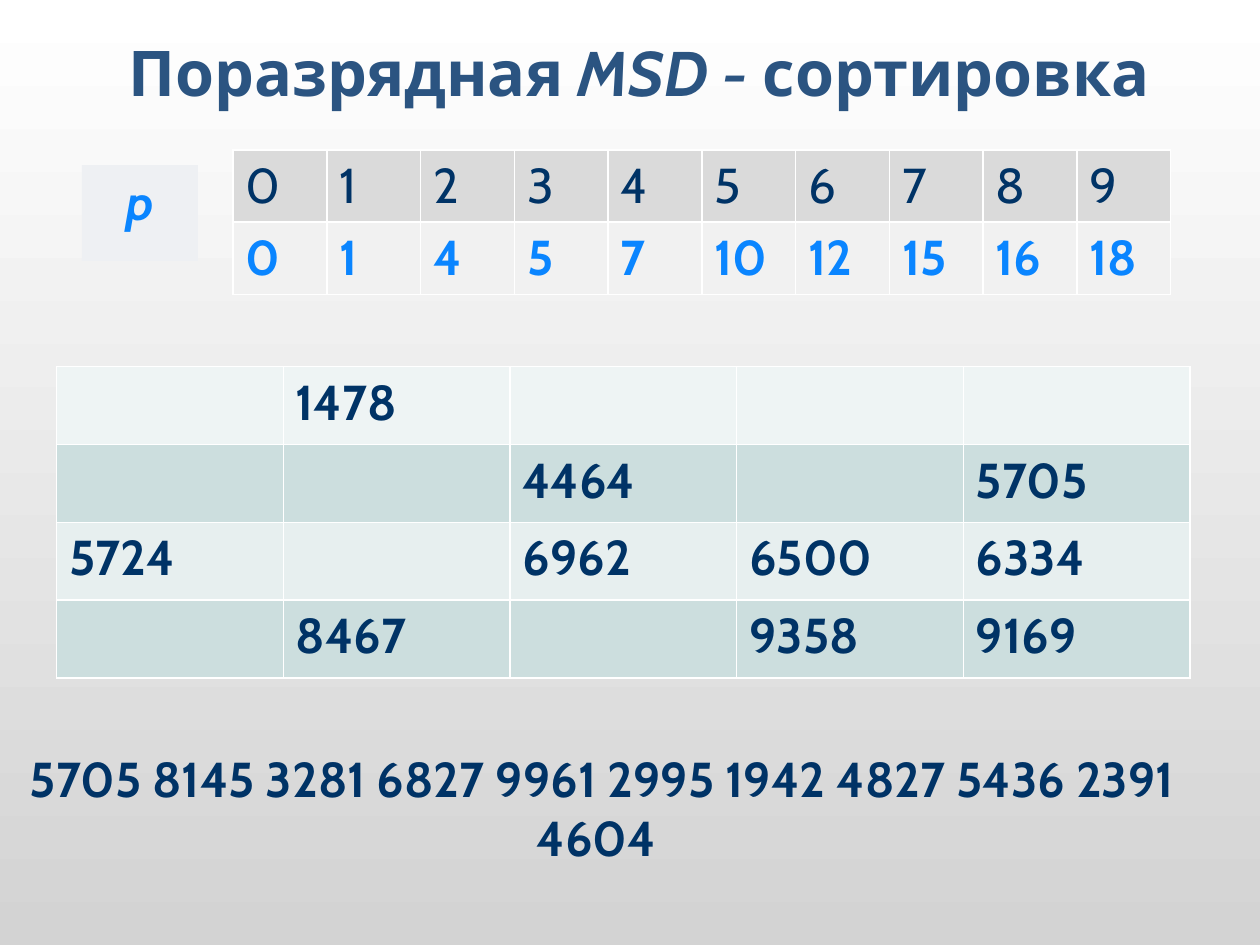
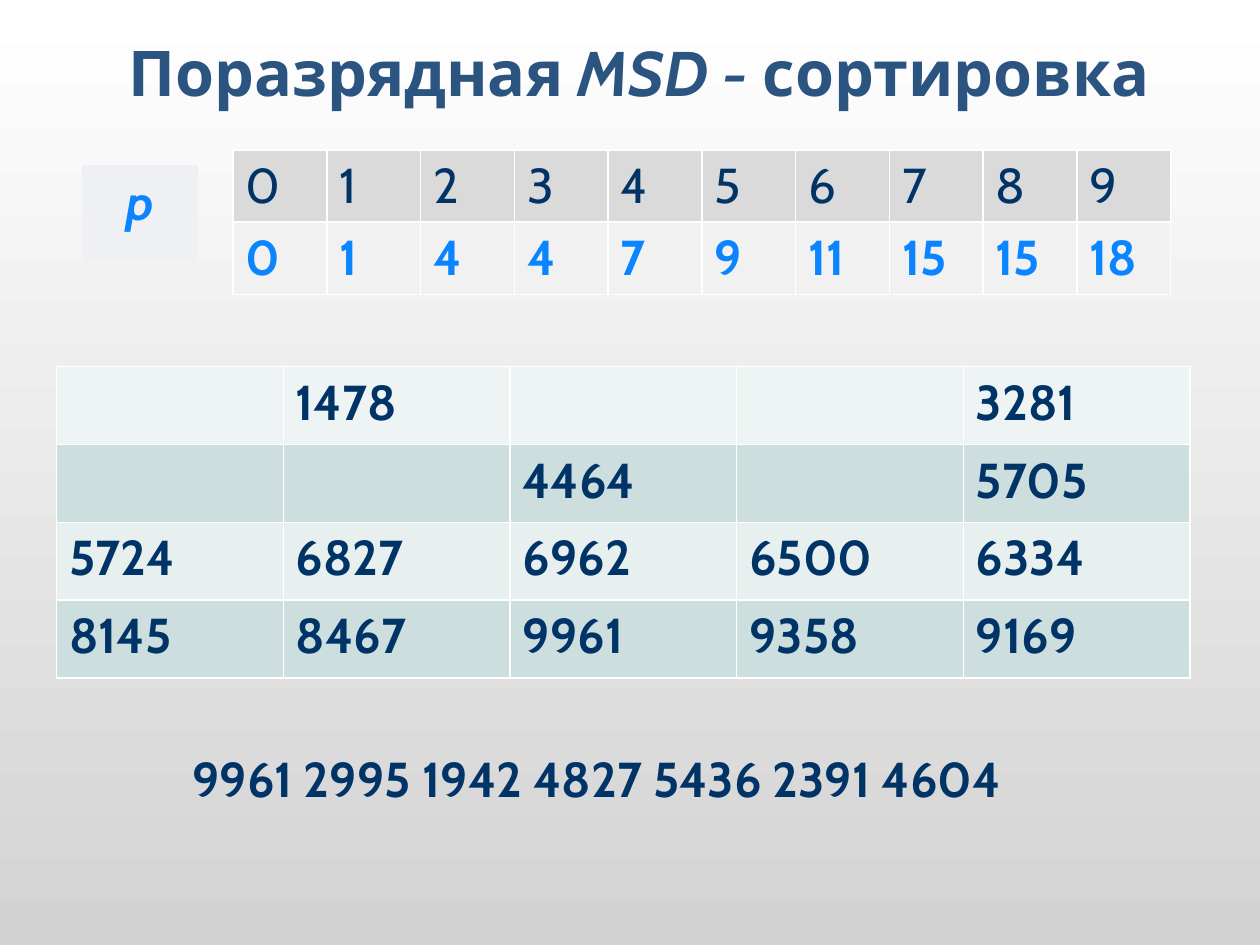
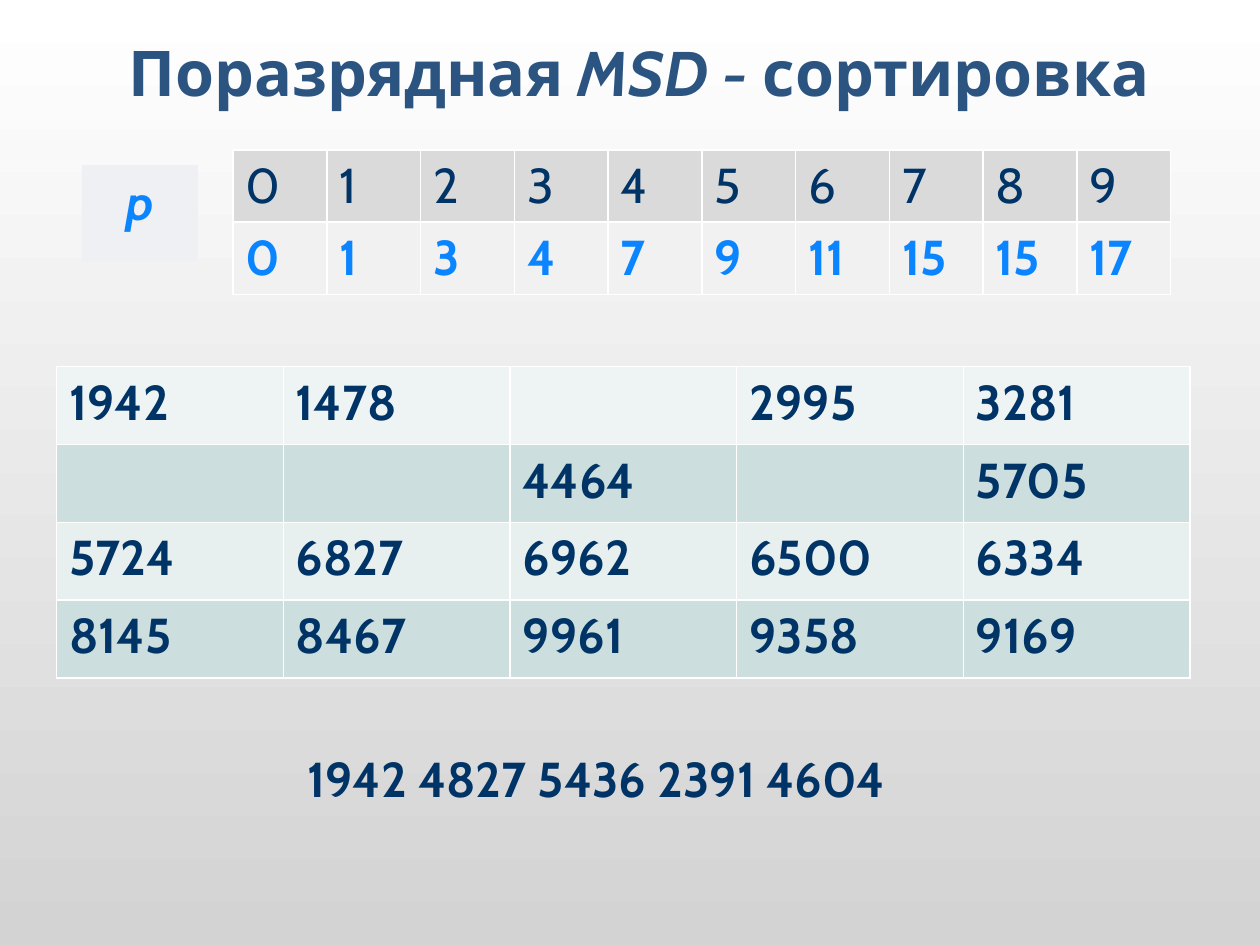
import pptx
import pptx.dml.color
import pptx.enum.shapes
import pptx.enum.text
import pptx.oxml
import pptx.oxml.ns
import pptx.util
from pptx.dml.color import RGBColor
from pptx.util import Cm

# Colours
WHITE = RGBColor(0xFF, 0xFF, 0xFF)
SILVER = RGBColor(0xD3, 0xD3, 0xD3)
TITLE_BLUE = RGBColor(0x2B, 0x54, 0x81)
NAVY = RGBColor(0x00, 0x33, 0x66)
BRIGHT_BLUE = RGBColor(0x0A, 0x85, 0xFF)
LABEL_FILL = RGBColor(0xEE, 0xF0, 0xF3)
DIGIT_FILL = RGBColor(0xDA, 0xDA, 0xDA)
POINTER_FILL = RGBColor(0xF1, 0xF1, 0xF1)
TOP_BAND = RGBColor(0xEE, 0xF4, 0xF4)
DARK_BAND = RGBColor(0xCC, 0xDE, 0xDE)
LIGHT_BAND = RGBColor(0xE7, 0xEF, 0xEF)

FONT = "Cabin"
CENTER = pptx.enum.text.PP_ALIGN.CENTER
LEFT = pptx.enum.text.PP_ALIGN.LEFT

# Sorting steps: start of each digit's bucket, array contents, numbers left
STEPS = [
    (
        [0, 1, 4, 5, 7, 10, 12, 15, 16, 18],
        [
            ["", "1478", "", "", ""],
            ["", "", "4464", "", "5705"],
            ["5724", "", "6962", "6500", "6334"],
            ["", "8467", "", "9358", "9169"],
        ],
        "5705 8145 3281 6827 9961 2995 1942 4827 5436 2391 4604 ",
        2.64,
    ),
    (
        [0, 1, 4, 4, 7, 9, 11, 15, 15, 18],
        [
            ["", "1478", "", "", "3281"],
            ["", "", "4464", "", "5705"],
            ["5724", "6827", "6962", "6500", "6334"],
            ["8145", "8467", "9961", "9358", "9169"],
        ],
        "9961 2995 1942 4827 5436 2391 4604 ",
        1.45,
    ),
    (
        [0, 1, 3, 4, 7, 9, 11, 15, 15, 17],
        [
            ["1942", "1478", "", "2995", "3281"],
            ["", "", "4464", "", "5705"],
            ["5724", "6827", "6962", "6500", "6334"],
            ["8145", "8467", "9961", "9358", "9169"],
        ],
        "1942 4827 5436 2391 4604 ",
        1.45,
    ),
]


class SortingDeck:
    """Holds the shared style and the current slide."""

    def __init__(self):
        self.deck = pptx.Presentation()
        self.deck.slide_width, self.deck.slide_height = Cm(25.4), Cm(19.05)
        self.page = None
        # Shared background: white at the top, grey at the bottom
        fill = self.deck.slide_master.background.fill
        fill.gradient()
        fill.gradient_angle = 270
        for stop, color in zip(fill.gradient_stops, (WHITE, SILVER)):
            stop.color.rgb = color

    def add_page(self):
        self.page = self.deck.slides.add_slide(self.deck.slide_layouts[5])

    def style(self, para, color, size=28, bold=True, align=CENTER):
        para.alignment = align
        font = para.font
        font.name, font.size, font.bold = FONT, pptx.util.Pt(size), bold
        font.color.rgb = color

    def title(self, *parts):
        """Each part is a text and whether it is italic."""
        box = self.page.shapes.title
        box.left, box.top, box.width, box.height = Cm(1.45), Cm(0.81), Cm(22.86), Cm(1.27)
        frame = box.text_frame
        frame.auto_size = pptx.enum.text.MSO_AUTO_SIZE.NONE
        frame.vertical_anchor = pptx.enum.text.MSO_ANCHOR.MIDDLE
        para = frame.paragraphs[0]
        self.style(para, TITLE_BLUE, size=36)
        for text, italic in parts:
            span = para.add_run()
            span.text, span.font.italic = text, italic

    def label(self, text, left, top, width, height):
        box = self.page.shapes.add_shape(
            pptx.enum.shapes.MSO_SHAPE.RECTANGLE, Cm(left), Cm(top), Cm(width), Cm(height))
        box.shadow.inherit = False
        box.fill.solid()
        box.fill.fore_color.rgb = LABEL_FILL
        box.line.fill.background()
        box.text_frame.vertical_anchor = pptx.enum.text.MSO_ANCHOR.TOP
        para = box.text_frame.paragraphs[0]
        para.text = text
        self.style(para, BRIGHT_BLUE)
        para.font.italic = True

    def text(self, text, left, top, width, height):
        box = self.page.shapes.add_textbox(Cm(left), Cm(top), Cm(width), Cm(height))
        box.text_frame.word_wrap = True
        para = box.text_frame.paragraphs[0]
        para.text = text
        self.style(para, NAVY)

    def border(self, cell):
        """Draw thin white lines on all four sides of a cell."""
        properties = cell._tc.get_or_add_tcPr()
        for side in "LRTB":
            properties.append(pptx.oxml.parse_xml(
                f'<a:ln{side} {pptx.oxml.ns.nsdecls("a")} w="12700"><a:solidFill>'
                f'<a:srgbClr val="{WHITE}"/></a:solidFill></a:ln{side}>'))

    def table(self, rows, row_styles, left, top, column_width, row_height):
        """Each row style is a fill, a text colour and whether it is bold."""
        count = len(rows[0])
        table = self.page.shapes.add_table(
            len(rows), count, Cm(left), Cm(top),
            Cm(column_width * count), Cm(row_height * len(rows))).table
        table.first_row = table.horz_banding = False
        for column in table.columns:
            column.width = Cm(column_width)
        for row, values, (fill, color, bold) in zip(table.rows, rows, row_styles):
            row.height = Cm(row_height)
            for cell, value in zip(row.cells, values):
                self.border(cell)
                cell.fill.solid()
                cell.fill.fore_color.rgb = fill
                para = cell.text_frame.paragraphs[0]
                para.text = str(value)
                self.style(para, color, bold=bold, align=LEFT)


def main():
    slides = SortingDeck()
    pointer_styles = [(DIGIT_FILL, NAVY, False), (POINTER_FILL, BRIGHT_BLUE, True)]
    array_styles = [(band, NAVY, True) for band in (TOP_BAND, DARK_BAND, LIGHT_BAND, DARK_BAND)]

    for pointers, array, remaining, height in STEPS:
        slides.add_page()
        slides.title(("Поразрядная ", False), ("MSD - ", True), ("сортировка", False))
        # Array being filled
        slides.table(array, array_styles, 1.14, 7.39, 4.57, 1.57)
        # Bucket pointers by digit
        slides.label("p", 1.65, 3.33, 2.34, 1.93)
        slides.table([range(10), pointers], pointer_styles, 4.7, 3.02, 1.89, 1.46)
        # Numbers still to place
        slides.text(remaining, 0, 14.96, 24.26, height)

    slides.deck.save("out.pptx")


if __name__ == "__main__":
    main()
